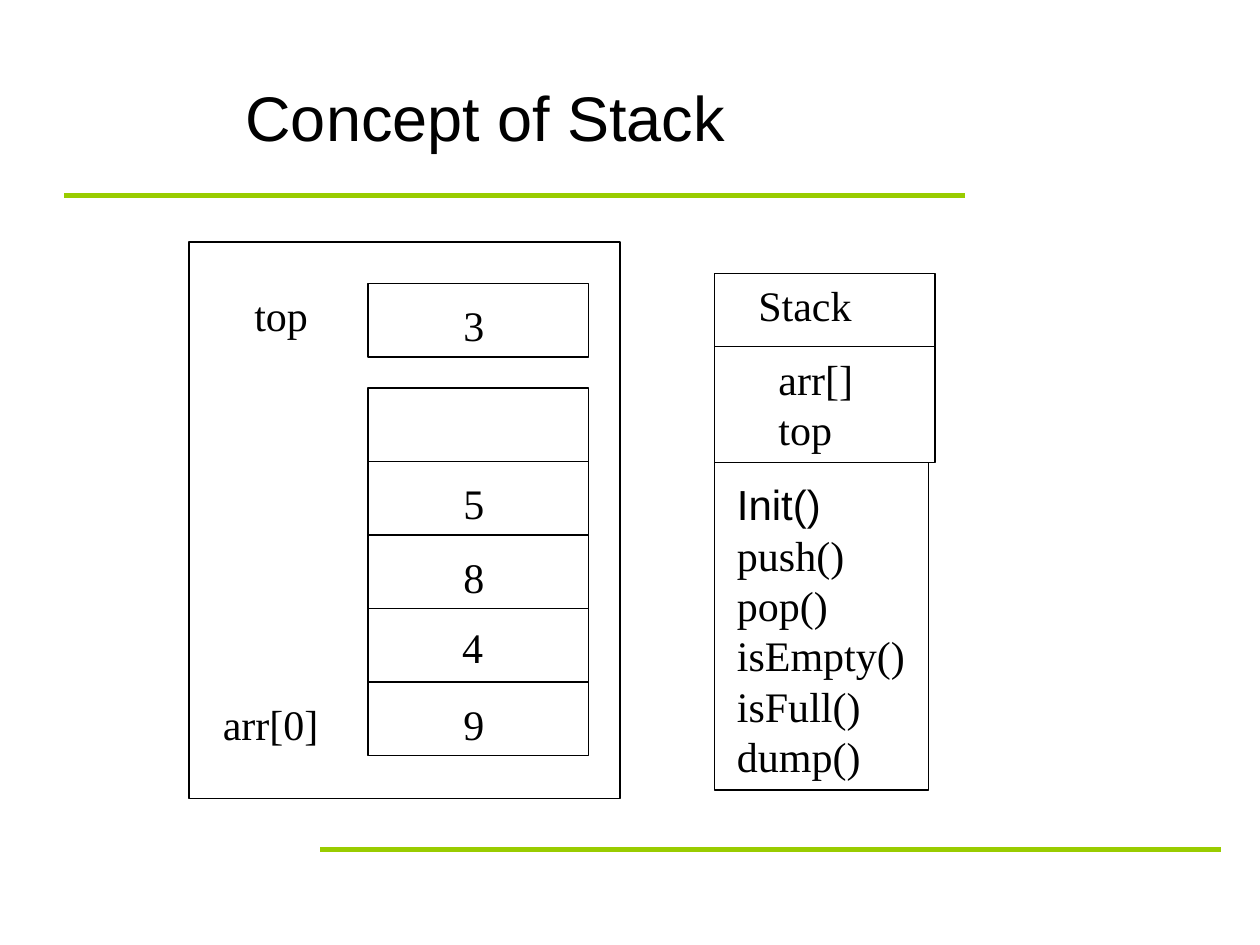
from lxml import etree
from pptx import Presentation
from pptx.dml.color import RGBColor
from pptx.enum.shapes import MSO_CONNECTOR, MSO_SHAPE
from pptx.enum.text import MSO_ANCHOR, MSO_AUTO_SIZE
from pptx.oxml.ns import qn
from pptx.util import Inches, Pt

RECTANGLE = MSO_SHAPE.RECTANGLE
STRAIGHT = MSO_CONNECTOR.STRAIGHT
MIDDLE, TOP = MSO_ANCHOR.MIDDLE, MSO_ANCHOR.TOP
NO_AUTOSIZE = MSO_AUTO_SIZE.NONE

BLACK, GREEN = "000000", "99CC00"
SANS, SERIF = "Arial", "Times New Roman"
BODY_SIZE = 24
BODY_SPACING = Pt(28.8)
TEXT_HEIGHT = 0.5
CELL_WIDTH = 1.75
CELL_HEIGHT = 7 / 12


def color(hex_value):
    return RGBColor.from_string(hex_value)


def add_rule(slide, left, top, width):
    rule = slide.shapes.add_connector(
        STRAIGHT, Inches(left), Inches(top), Inches(left + width), Inches(top))
    rule.line.color.rgb = color(GREEN)
    rule.line.width = Pt(3)
    etree.SubElement(rule._element.spPr, qn("a:effectLst"))


def add_outline(shapes, left, top, width, height):
    outline = shapes.add_shape(
        RECTANGLE, Inches(left), Inches(top), Inches(width), Inches(height))
    outline.shadow.inherit = False
    outline.fill.background()
    outline.line.color.rgb = color(BLACK)
    outline.line.width = Pt(0.75)


def add_text(shapes, lines, left, top, width, height=TEXT_HEIGHT, wrap=False,
             anchor=TOP, size=BODY_SIZE, spacing=BODY_SPACING):
    """Place (text, font name) lines as paragraphs of one text box."""
    box = shapes.add_textbox(
        Inches(left), Inches(top), Inches(width), Inches(height))
    frame = box.text_frame
    frame_format = {"word_wrap": wrap, "vertical_anchor": anchor,
                    "auto_size": NO_AUTOSIZE}
    for key, value in frame_format.items():
        setattr(frame, key, value)
    for index, (text, font_name) in enumerate(lines):
        paragraph = frame.add_paragraph() if index else frame.paragraphs[0]
        paragraph.line_spacing = spacing
        run = paragraph.add_run()
        run.text = text
        for key, value in {"name": font_name, "size": Pt(size)}.items():
            setattr(run.font, key, value)
        run.font.color.rgb = color(BLACK)


def add_title(slide, left, top, width, height):
    add_text(slide.shapes, [("Concept of Stack", SANS)], left, top, width,
             height, wrap=True, anchor=MIDDLE, size=36, spacing=1.0)


def add_class_diagram(slide, left, top):
    shapes = slide.shapes.add_group_shape().shapes
    fields_top = top + CELL_HEIGHT
    methods_top = top + 1.5
    add_outline(shapes, left, top, CELL_WIDTH, CELL_HEIGHT)
    add_outline(shapes, left, fields_top, CELL_WIDTH, methods_top - fields_top)
    add_outline(shapes, left, methods_top, 1.7, 2.6)

    fields = [(name, SERIF) for name in ("arr[]", "top")]
    methods = [("Init()", SANS)] + [
        (name, SERIF)
        for name in ("push()", "pop()", "isEmpty()", "isFull()", "dump()")]
    add_text(shapes, [("Stack", SERIF)], left + 0.25, top, 0.94)
    add_text(shapes, fields, left + 0.41, fields_top, 0.79, 0.9)
    add_text(shapes, methods, left + 0.08, methods_top + 0.08, 1.69, 2.5,
             wrap=True)


def add_cell(shapes, value, left, top, text_offset=(0.66, 0.08)):
    add_outline(shapes, left, top, CELL_WIDTH, CELL_HEIGHT)
    if value:
        across, down = text_offset
        add_text(shapes, [(value, SERIF)], left + across, top + down, 0.36)


def add_stack_diagram(slide, left, top, width, height):
    shapes = slide.shapes.add_group_shape().shapes
    cell_left = left + 1.42
    top_cell = top + 0.33
    array_top = top_cell + 0.83
    values = ["", "5", "8", "4", "9"]
    shifted = {"4": (0.65, 0.05)}
    for row, value in enumerate(values):
        add_cell(shapes, value, cell_left, array_top + row * CELL_HEIGHT,
                 shifted.get(value, (0.66, 0.08)))
    add_cell(shapes, "3", cell_left, top_cell)

    bottom_cell = array_top + (len(values) - 1) * CELL_HEIGHT
    add_text(shapes, [("top", SERIF)], left + 0.42, top_cell, 0.62)
    add_text(shapes, [("arr[0]", SERIF)], left + 0.17, bottom_cell + 0.08, 0.96)
    add_outline(shapes, left, top, width, height)


def main():
    presentation = Presentation()
    presentation.slide_width = Inches(10)
    presentation.slide_height = Inches(7.5)
    slide = presentation.slides.add_slide(presentation.slide_layouts[6])
    add_rule(slide, 0.51, 1.55, 7.15)
    add_rule(slide, 2.54, 6.74, 7.15)
    add_title(slide, 1.85, 0.3, 7.65, 1.25)
    add_class_diagram(slide, 5.67, 2.17)
    add_stack_diagram(slide, 1.5, 1.92, 3.42, 4.42)
    presentation.save("out.pptx")


if __name__ == "__main__":
    main()
